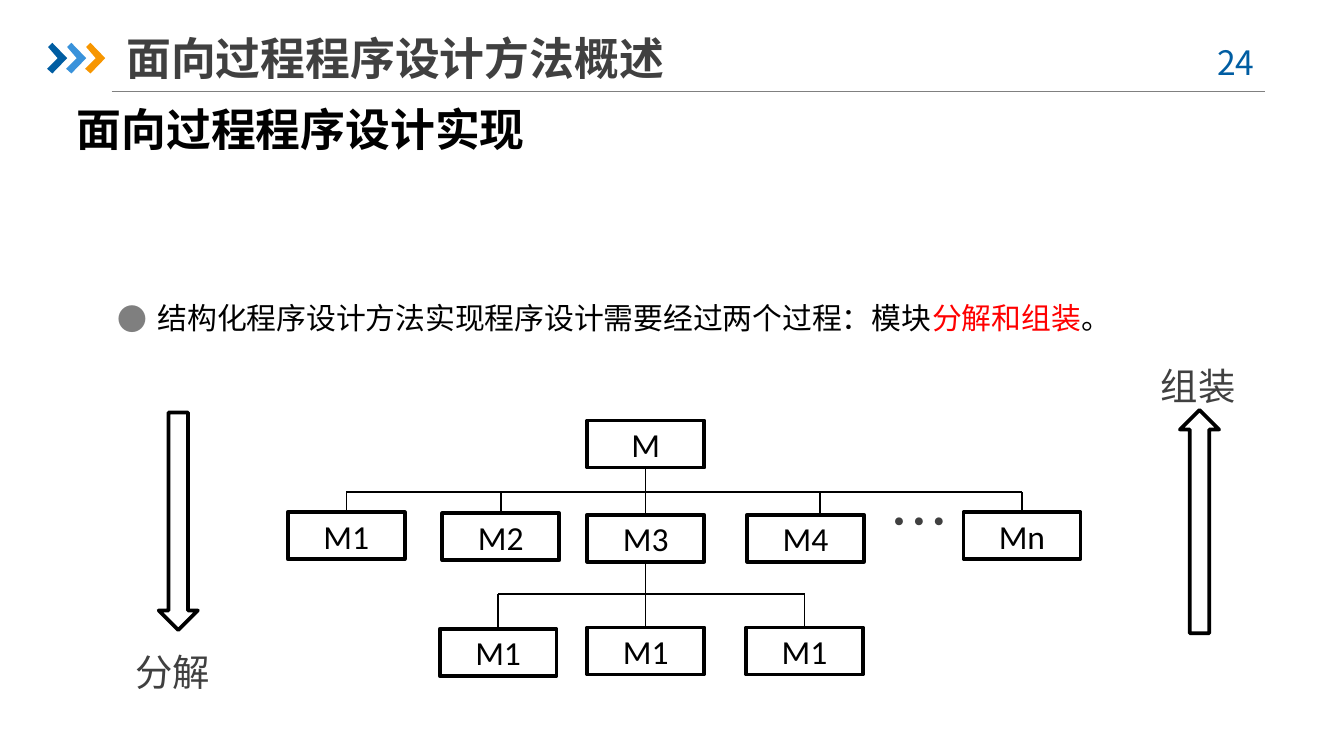
from lxml import etree
from pptx import Presentation
from pptx.dml.color import RGBColor
from pptx.enum.shapes import MSO_CONNECTOR, MSO_SHAPE
from pptx.enum.text import MSO_ANCHOR, PP_ALIGN
from pptx.oxml.ns import qn
from pptx.util import Cm, Pt

STRAIGHT = MSO_CONNECTOR.STRAIGHT
RECTANGLE = MSO_SHAPE.RECTANGLE
DOWN_ARROW, UP_ARROW = MSO_SHAPE.DOWN_ARROW, MSO_SHAPE.UP_ARROW
MIDDLE, TOP = MSO_ANCHOR.MIDDLE, MSO_ANCHOR.TOP
LEFT, CENTER = PP_ALIGN.LEFT, PP_ALIGN.CENTER

COLORS = {
    "black": "000000",
    "text": "404040",
    "rule": "808080",
    "bullet": "7F7F7F",
    "red": "FF0000",
    "navy": "005DA2",
    "blue": "3992DB",
    "orange": "F79600",
}
CJK = "Noto Sans CJK SC"
LATIN = "Calibri"
MODULE_WIDTH, MODULE_HEIGHT = 2.21, 0.89
CHEVRON = [(0.02, 0.08), (0.1, 0), (0.38, 0.29), (0.1, 0.58), (0, 0.49), (0.2, 0.29)]


def rgb(name):
    return RGBColor.from_string(COLORS[name])


def add_run(para, text, size, color, font=CJK, bold=False):
    span = para.add_run()
    span.text = text
    span.font.size = Pt(size)
    span.font.bold = bold
    span.font.name = font
    span.font.color.rgb = rgb(color)
    east_asian = etree.Element(qn("a:ea"), typeface=font)
    span.font._element.find(qn("a:latin")).addnext(east_asian)


def add_text(page, area, runs, size, bold=False, align=LEFT, anchor=TOP, insets=(0.25, 0.13)):
    box = page.shapes.add_textbox(*map(Cm, area))
    frame = box.text_frame
    frame.word_wrap = True
    frame.vertical_anchor = anchor
    frame.margin_left = frame.margin_right = Cm(insets[0])
    frame.margin_top = frame.margin_bottom = Cm(insets[1])
    para = frame.paragraphs[0]
    para.alignment = align
    for text, color in runs:
        add_run(para, text, size, color, bold=bold)
    return para


def add_bullet(para, indent):
    props = para._p.get_or_add_pPr()
    props.set("marL", str(Cm(indent)))
    props.set("indent", str(-Cm(indent)))
    color = etree.SubElement(props, qn("a:buClr"))
    etree.SubElement(color, qn("a:srgbClr"), val=COLORS["bullet"])
    etree.SubElement(props, qn("a:buFont"), typeface=CJK)
    etree.SubElement(props, qn("a:buChar"), char="●")


def add_outline(page, kind, area):
    shape = page.shapes.add_shape(kind, *map(Cm, area))
    shape.shadow.inherit = False
    shape.fill.background()
    shape.line.color.rgb = rgb("black")
    shape.line.width = Pt(2)
    return shape


def add_module(page, label, left, top):
    module = add_outline(page, RECTANGLE, (left, top, MODULE_WIDTH, MODULE_HEIGHT))
    module.text_frame.vertical_anchor = MIDDLE
    para = module.text_frame.paragraphs[0]
    para.alignment = CENTER
    add_run(para, label, 18, "black", LATIN)
    return module


def add_line(page, start, end, color="black"):
    line = page.shapes.add_connector(STRAIGHT, *map(Cm, start + end))
    line.line.color.rgb = rgb(color)
    line.line.width = Pt(0.75)
    etree.SubElement(line._element.spPr, qn("a:effectLst"))
    return line


def add_chevron(page, left, top, color):
    points = [(Cm(left + x), Cm(top + y)) for x, y in CHEVRON]
    builder = page.shapes.build_freeform(*points[0])
    builder.add_line_segments(points[1:], close=True)
    chevron = builder.convert_to_shape()
    chevron.shadow.inherit = False
    chevron.fill.solid()
    chevron.fill.fore_color.rgb = rgb(color)
    chevron.line.fill.background()


def add_level(page, parent, bus, children):
    trunk = parent.left.cm + MODULE_WIDTH / 2
    drops = []
    for label, left, top, shift in children:
        module = add_module(page, label, left, top)
        drop = left + MODULE_WIDTH / 2 + shift
        drops.append((module, drop, top, shift))
    for module, drop, top, shift in drops:
        below_parent = abs(drop - trunk) < 0.01
        line = add_line(page, (drop, bus), (drop, top))
        if below_parent:
            line.begin_connect(parent, 2)
        if not shift:
            line.end_connect(module, 0)
    for end in (drops[0][1], drops[-1][1]):
        add_line(page, (trunk, bus), (end, bus))
    return [module for module, *_ in drops]


def add_header(page):
    add_line(page, (2.11, 1.73), (23.9, 1.73), "rule")
    for i, color in enumerate(("navy", "blue", "orange")):
        add_chevron(page, 0.89 + 0.36 * i, 0.81, color)
    add_text(page, (22.5, 0.66, 1.85, 1.02), [("24 ", "navy")], 18, align=CENTER)
    add_text(page, (2.39, 0.56, 15.85, 1.07), [("面向过程程序设计方法概述", "text")], 24,
             bold=True, anchor=MIDDLE, insets=(0, 0.13))
    add_text(page, (1.45, 1.93, 8.84, 1.02), [("面向过程程序设计实现", "black")], 24,
             bold=True, insets=(0, 0))


def add_tree(page):
    root = add_module(page, "M", 11.1, 7.95)
    second = add_level(page, root, 9.3, [
        ("M1", 5.44, 9.68, 0),
        ("M2", 8.36, 9.7, 0),
        ("M3", 11.1, 9.73, 0),
        ("M4", 14.12, 9.73, 0.27),
        ("Mn", 18.21, 9.68, 0),
    ])
    add_level(page, second[2], 11.23, [
        ("M1", 8.31, 11.89, 0),
        ("M1", 11.1, 11.86, 0),
        ("M1", 14.1, 11.86, 0),
    ])
    add_text(page, (16.56, 9.04, 1.14, 1.63), [("…", "text")], 32)


def main():
    deck = Presentation()
    deck.slide_width, deck.slide_height = Cm(25.4), Cm(14.29)
    page = deck.slides.add_slide(deck.slide_layouts[6])
    add_header(page)
    para = add_text(page, (1.98, 5.54, 22.05, 1.47), [
        ("结构化程序设计方法实现程序设计需要经过两个过程：模块", "black"),
        ("分解和组装", "red"),
        ("。", "black"),
    ], 16)
    add_bullet(para, 0.75)
    add_tree(page)
    add_outline(page, UP_ARROW, (22.3, 7.75, 0.74, 4.22))
    add_outline(page, DOWN_ARROW, (3, 7.8, 0.74, 4.11))
    add_text(page, (2.31, 12.14, 2.21, 1.12), [("分解", "text")], 20)
    add_text(page, (21.69, 6.73, 2.11, 1.12), [("组装", "text")], 20)
    deck.save("out.pptx")


if __name__ == "__main__":
    main()
